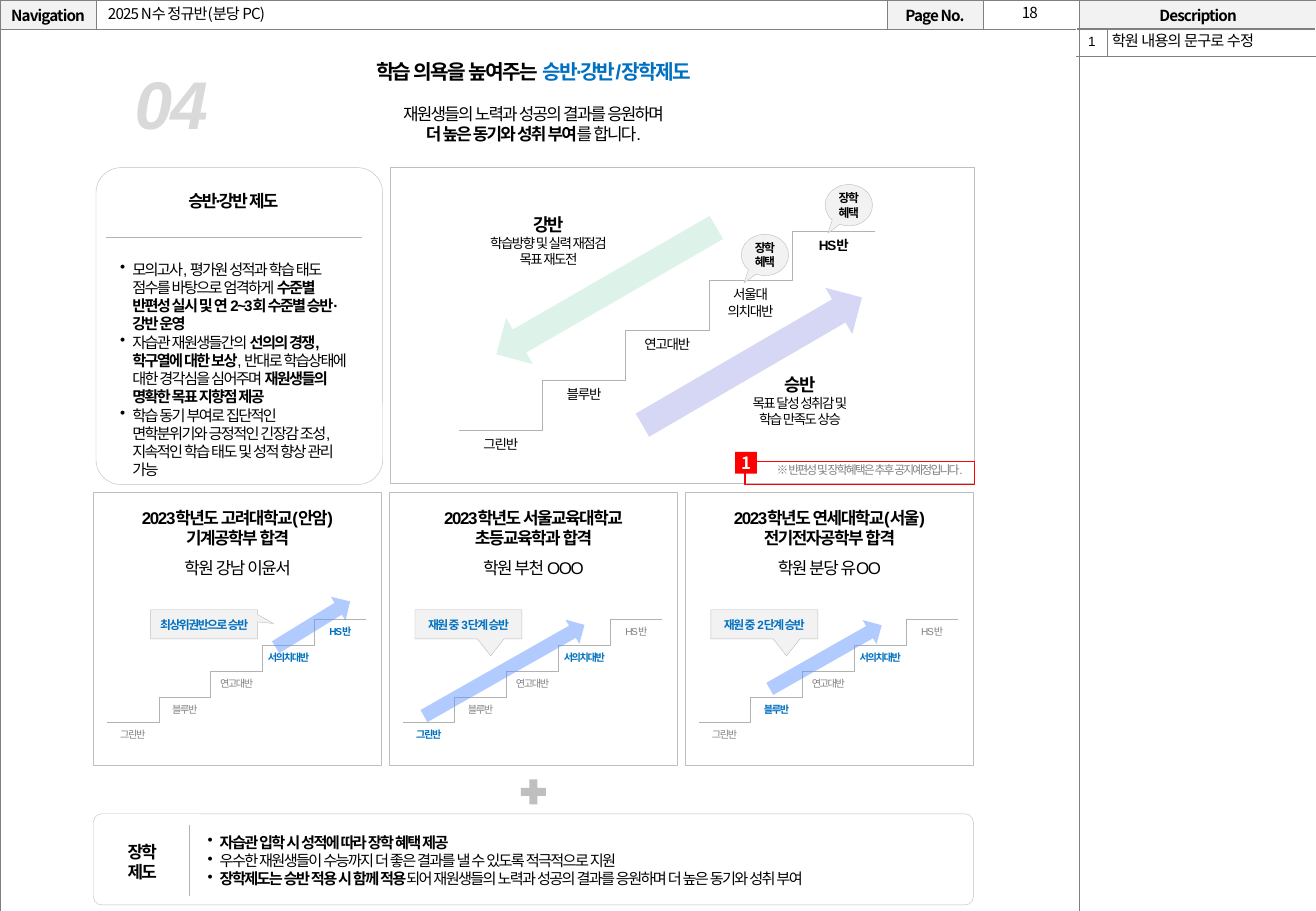
from lxml import etree
from pptx import Presentation
from pptx.dml.color import RGBColor
from pptx.enum.shapes import MSO_CONNECTOR, MSO_SHAPE
from pptx.enum.text import MSO_ANCHOR, PP_ALIGN
from pptx.oxml.ns import qn
from pptx.util import Inches, Pt

BLACK = RGBColor(0x00, 0x00, 0x00)
WHITE = RGBColor(0xFF, 0xFF, 0xFF)
RED = RGBColor(0xFF, 0x00, 0x00)
BLUE = RGBColor(0x00, 0x70, 0xC0)
ARROW_BLUE = RGBColor(0x66, 0x99, 0xFF)
LILAC = RGBColor(0xD6, 0xD6, 0xF5)
MINT = RGBColor(0xDD, 0xF3, 0xEA)
PALE = RGBColor(0xF2, 0xF2, 0xF2)
NUMBER_GRAY = RGBColor(0xD9, 0xD9, 0xD9)
BORDER = RGBColor(0xBF, 0xBF, 0xBF)
STEP_GRAY = RGBColor(0xB2, 0xB2, 0xB2)
GRAY = RGBColor(0x80, 0x80, 0x80)
LEFT, CENTER, RIGHT = PP_ALIGN.LEFT, PP_ALIGN.CENTER, PP_ALIGN.RIGHT
TOP, MIDDLE = MSO_ANCHOR.TOP, MSO_ANCHOR.MIDDLE
RECT, ROUND, UP_ARROW = MSO_SHAPE.RECTANGLE, MSO_SHAPE.ROUNDED_RECTANGLE, MSO_SHAPE.UP_ARROW
PLUS = MSO_SHAPE.MATH_PLUS
OVAL_CALLOUT, RECT_CALLOUT = MSO_SHAPE.OVAL_CALLOUT, MSO_SHAPE.RECTANGULAR_CALLOUT
STRAIGHT, ELBOW = MSO_CONNECTOR.STRAIGHT, MSO_CONNECTOR.ELBOW
BODY_FONT, HEADER_FONT = "Arial", "Noto Sans CJK KR"
BOLD, PLAIN = {"bold": True}, {"bold": False}
HEADER = {"size": 9, "spacing": -0.5, "font": HEADER_FONT}


def write(frame, paragraphs, align=CENTER, bullet=False, gaps=None, line_spacing=None, **base):
    """Fill a text frame; a paragraph is a string or a list of runs, a run may carry overrides."""
    for index, runs in enumerate(paragraphs):
        paragraph = frame.paragraphs[0] if index == 0 else frame.add_paragraph()
        paragraph.alignment = align
        if line_spacing:
            paragraph.line_spacing = line_spacing
        if gaps and index in gaps:
            paragraph.space_before = Pt(gaps[index])
        if bullet:
            properties = paragraph._p.get_or_add_pPr()
            properties.set("marL", str(Inches(0.1)))
            properties.set("indent", str(Inches(-0.1)))
            etree.SubElement(properties, qn("a:buChar")).set("char", "•")
        for item in [runs] if isinstance(runs, str) else runs:
            text, changes = (item, {}) if isinstance(item, str) else item
            style = {"size": 9, "color": BLACK, "bold": False, "italic": False,
                     "spacing": -1, "font": BODY_FONT, **base, **changes}
            run = paragraph.add_run()
            run.text = text
            run.font.name, run.font.size = style["font"], Pt(style["size"])
            run.font.bold, run.font.italic = style["bold"], style["italic"]
            run.font.color.rgb = style["color"]
            properties = run._r.get_or_add_rPr()
            properties.set("spc", str(int(style["spacing"] * 100)))
            etree.SubElement(properties, qn("a:ea")).set("typeface", style["font"])


def add_text(slide, box, paragraphs, anchor=TOP, **style):
    """Add a wrapping text box."""
    frame = slide.shapes.add_textbox(*map(Inches, box)).text_frame
    frame.word_wrap, frame.vertical_anchor = True, anchor
    write(frame, paragraphs, **style)


def add_panel(slide, kind, box, fill=WHITE, line=None, width=0.25, adjust=(), rotation=0, alpha=None):
    """Add a flat preset shape."""
    panel = slide.shapes.add_shape(kind, *map(Inches, box))
    panel.shadow.inherit = False
    panel.rotation = rotation
    for index, value in enumerate(adjust):
        panel.adjustments[index] = value
    if fill is None:
        panel.fill.background()
    else:
        panel.fill.solid()
        panel.fill.fore_color.rgb = fill
    if alpha:
        color = panel.fill._xPr.find(".//" + qn("a:srgbClr"))
        etree.SubElement(color, qn("a:alpha")).set("val", str(alpha * 1000))
    if line is None:
        panel.line.fill.background()
    else:
        panel.line.color.rgb, panel.line.width = line, Pt(width)
    return panel


def add_callout(slide, kind, box, adjust, paragraphs, color):
    """Add a pale speech balloon with small bold text."""
    balloon = add_panel(slide, kind, box, PALE, BORDER, adjust=adjust)
    balloon.text_frame.word_wrap = False
    balloon.text_frame.vertical_anchor = MIDDLE
    write(balloon.text_frame, paragraphs, size=7, color=color, bold=True, spacing=-0.8)


def add_rule(slide, kind, *ends):
    """Draw a thin gray straight or elbow line."""
    rule = slide.shapes.add_connector(kind, *map(Inches, ends))
    rule.line.color.rgb, rule.line.width = STEP_GRAY, Pt(0.25)
    etree.SubElement(rule._element.spPr, qn("a:effectLst"))


def add_staircase(slide, left, base, tread, rise, labels, label_width, styles, size):
    """Draw rising steps with a class label under each tread."""
    for step in range(len(labels) - 1):
        add_rule(slide, ELBOW, left + (step + 2) * tread, base - (step + 1) * rise,
                 left + step * tread, base - step * rise)
    for step, (label, style) in enumerate(zip(labels, styles)):
        middle = left + (step + 0.5) * tread
        add_text(slide, (middle - label_width / 2, base - step * rise, label_width, 0.24),
                 label, size=size, spacing=-0.8, **style)


def set_borders(cell, sides):
    """Give the named sides of a cell a thin gray border."""
    properties = cell._tc.get_or_add_tcPr()
    for index, side in enumerate(sides):
        border = etree.Element(qn("a:ln" + side), w=str(Pt(0.25)))
        fill = etree.SubElement(border, qn("a:solidFill"))
        etree.SubElement(fill, qn("a:srgbClr")).set("val", str(GRAY))
        properties.insert(index, border)


def add_grid(slide, box, columns, rows):
    """Add an unstyled table with the given column widths and row heights."""
    table = slide.shapes.add_table(len(rows), len(columns), *map(Inches, box)).table
    table.first_row = table.horz_banding = False
    for column, width in zip(table.columns, columns):
        column.width = Inches(width)
    for row, height in zip(table.rows, rows):
        row.height = Inches(height)
    return table


def set_margins(cell, margin):
    """Set all margins of a cell and centre it vertically."""
    cell.margin_left = cell.margin_right = cell.margin_top = cell.margin_bottom = Inches(margin)
    cell.vertical_anchor = MIDDLE


def build_frame(slide, left, top, width, height):
    """Build the page frame, its header and the description list."""
    table = add_grid(slide, (left, top, width, height), (0.79, 6.51, 0.79, 0.79, 1.96), (0.24, height - 0.24))
    headings = {0: "Navigation", 2: "Page No.", 4: "Description"}
    for index, cell in enumerate(table.iter_cells()):
        set_margins(cell, 0)
        cell.fill.solid()
        cell.fill.fore_color.rgb = PALE if index in headings else WHITE
        set_borders(cell, "LRTB")
        if index in headings:
            write(cell.text_frame, [headings[index]], bold=True, **HEADER)
        else:
            cell.text_frame.paragraphs[0]._p.get_or_add_endParaRPr().set("sz", "900")
    table.cell(1, 0).merge(table.cell(1, 3))
    add_text(slide, (left + 8.09, top - 0.02, 0.77, 0.25), ["18"], **HEADER)
    add_text(slide, (left + 0.79, top, 6.52, 0.23), ["2025 N수 정규반(분당 PC)"], MIDDLE, align=LEFT, **HEADER)
    notes = add_grid(slide, (left + 8.86, top + 0.23, 1.97, 0.23), (0.25, 1.72), (0.23,))
    number, note = notes.iter_cells()
    for cell, sides in ((number, "RTB"), (note, "LTB")):
        set_margins(cell, 0.04)
        cell.fill.background()
        set_borders(cell, sides)
    write(number.text_frame, ["1"], size=8, line_spacing=0.9)
    write(note.text_frame, ["학원 내용의 문구로 수정"], align=LEFT, spacing=-0.5, line_spacing=0.9)


def build_heading(slide, left, top, width):
    """Build the section number, title and lead."""
    add_text(slide, (left, top, width, 0.81), [
        [("학습 의욕을 높여주는 ", {"size": 12, **BOLD}),
         ("승반∙강반/장학제도", {"size": 12, "color": BLUE, **BOLD})],
        "재원생들의 노력과 성공의 결과를 응원하며",
        [("더 높은 동기와 성취 부여", BOLD), "를 합니다."]], size=10, gaps={1: 11.5})
    add_text(slide, (left + 0.24, top + 0.02, 0.87, 0.77), ["04"], align=LEFT,
             size=40, color=NUMBER_GRAY, bold=True, italic=True)


def build_policy(slide, left, top, width, height):
    """Build the rounded panel that explains the class-change policy."""
    add_panel(slide, ROUND, (left, top, width, height), line=BORDER, adjust=(0.088,))
    add_rule(slide, STRAIGHT, left + 0.08, top + 0.57, left + 2.19, top + 0.57)
    add_text(slide, (left + 0.35, top + 0.14, 1.56, 0.27), ["승반∙강반 제도"], size=10, bold=True)
    add_text(slide, (left + 0.1, top + 0.71, 2.09, 1.77), [
        ["모의고사, 평가원 성적과 학습 태도 점수를 바탕으로 엄격하게 ",
         ("수준별 반편성 실시 및 연 2~3회 수준별 승반·강반 운영", BOLD)],
        ["자습관 재원생들간의 ", ("선의의 경쟁, 학구열에 대한 보상", BOLD),
         ", 반대로 학습상태에 대한 경각심을 심어주며 ", ("재원생들의 명확한 목표 지향점 제공", BOLD)],
        "학습 동기 부여로 집단적인 면학분위기와 긍정적인 긴장감 조성, 지속적인 학습 태도 및 성적 향상 관리 가능",
    ], align=LEFT, bullet=True)


def build_ladder(slide, left, top, width, height):
    """Build the large class ladder with its two arrows and benefit balloons."""
    add_panel(slide, RECT, (left, top, width, height), line=BORDER)
    labels = (["그린반"], ["블루반"], ["연고대반"], ["서울대", "의치대반"], ["HS반"])
    add_staircase(slide, left + 0.57, top + 2.16, 0.685, 0.41, labels, 0.7, [PLAIN] * 4 + [BOLD], 8)
    directions = (
        (2.76, 0.55, 59.8, LILAC, 2.71, 1.65, ("승반", "목표 달성 성취감 및", "학습 만족도 상승")),
        (1.56, -0.03, 240, MINT, 0.64, 0.33, ("강반", "학습방향 및 실력 재점검", "목표 재도전")))
    for arrow_x, arrow_y, angle, color, text_x, text_y, (name, *details) in directions:
        add_panel(slide, UP_ARROW, (left + arrow_x, top + arrow_y, 0.44, 2.09), color, rotation=angle)
        add_text(slide, (left + text_x, top + text_y, 1.33, 0.55),
                 [[(name, {"size": 10.5, **BOLD})], *details], size=8)
    for x, y in ((3.58, 0.14), (2.89, 0.55)):
        add_callout(slide, OVAL_CALLOUT, (left + x, top + y, 0.39, 0.34), (-0.441, 0.674), ["장학", "혜택"], BLACK)


def build_case(slide, left, top, width, height, lines, reached, balloon, arrow):
    """Build one success-story card with its small class ladder."""
    add_panel(slide, RECT, (left, top, width, height), line=BORDER)
    *school, student = lines
    add_text(slide, (left, top + 0.08, width, 0.71), [[(line, BOLD)] for line in school] + [student],
             size=10, spacing=-0.8, gaps={2: 5.75})
    labels = (["그린반"], ["블루반"], ["연고대반"], ["서의치대반"], ["HS반"])
    styles = [{"color": BLUE, **BOLD} if step in reached else {"color": GRAY} for step in range(len(labels))]
    add_staircase(slide, left + 0.11, top + 1.9, 0.427, 0.212, labels, 0.6, styles, 6)
    balloon_x, adjust, message = balloon
    add_callout(slide, RECT_CALLOUT, (left + balloon_x, top + 0.97, 0.88, 0.24), adjust, [message], BLUE)
    arrow_x, arrow_y, length, angle = arrow
    add_panel(slide, UP_ARROW, (left + arrow_x, top + arrow_y, 0.23, length), ARROW_BLUE, rotation=angle, alpha=50)


def build_cases(slide, left, top, width, height):
    """Spread the three cards evenly over the row."""
    card, down = 2.37, (0.208, 1.079)
    cases = (
        (("2023학년도 고려대학교(안암)", "기계공학부 합격", "학원 강남 이윤서"), (3, 4),
         (0.47, (0.649, -0.027), "최상위권반으로 승반"), (1.69, 0.73, 0.72, 58.4)),
        (("2023학년도 서울교육대학교", "초등교육학과 합격", "학원 부천 OOO"), (0, 3),
         (0.21, down, "재원 중 3단계 승반"), (0.83, 0.71, 1.52, 60.4)),
        (("2023학년도 연세대학교(서울)", "전기전자공학부 합격", "학원 분당 유OO"), (1, 3),
         (0.21, down, "재원 중 2단계 승반"), (1.04, 0.83, 1.06, 60.4)))
    for index, case in enumerate(cases):
        build_case(slide, left + index * (width - card) / 2, top, card, height, *case)


def build_scholarship(slide, left, top, width, height):
    """Build the scholarship panel and the plus sign above it."""
    add_panel(slide, PLUS, (left + 3.48, top - 0.32, 0.28, 0.28), BORDER)
    add_panel(slide, ROUND, (left, top, width, height), line=BORDER, adjust=(0.088,))
    add_rule(slide, STRAIGHT, left + 0.79, top + 0.09, left + 0.79, top + 0.68)
    add_text(slide, (left + 0.09, top + 0.18, 0.62, 0.44), ["장학", "제도"], size=10, bold=True)
    add_text(slide, (left + 0.84, top + 0.11, 6.32, 0.56), [
        [("자습관 입학 시 성적에 따라 장학 혜택 제공", BOLD)],
        "우수한 재원생들이 수능까지 더 좋은 결과를 낼 수 있도록 적극적으로 지원",
        [("장학제도는 승반 적용 시 함께 적용", BOLD),
         "되어 재원생들의 노력과 성공의 결과를 응원하며 더 높은 동기와 성취 부여"]], align=LEFT, bullet=True)


def build_revision(slide, left, top, width, height):
    """Build the red revision mark around the footnote."""
    add_panel(slide, RECT, (left, top, width, height), None, RED, 1)
    marker = add_panel(slide, RECT, (left - 0.08, top - 0.08, 0.18, 0.18), RED)
    frame = marker.text_frame
    frame.margin_left = frame.margin_right = frame.margin_top = frame.margin_bottom = 0
    frame.vertical_anchor = MIDDLE
    write(frame, ["1"], size=10, color=WHITE, bold=True, spacing=0, font=HEADER_FONT)
    add_text(slide, (left - 1.73, top - 0.04, 3.62, 0.22), ["※ 반편성 및 장학혜택은 추후 공지예정입니다."],
             align=RIGHT, size=7, color=GRAY)


def main():
    """Assemble the slide and save it."""
    deck = Presentation()
    deck.slide_width, deck.slide_height = Inches(10.83), Inches(7.5)
    slide = deck.slides.add_slide(deck.slide_layouts[6])
    build_frame(slide, 0, 0, 10.84, 7.51)
    build_heading(slide, 0.77, 0.44, 7.24)
    build_ladder(slide, 3.21, 1.38, 4.81, 2.6)
    build_policy(slide, 0.79, 1.38, 2.36, 2.61)
    build_cases(slide, 0.77, 4.05, 7.24, 2.25)
    build_scholarship(slide, 0.77, 6.7, 7.24, 0.75)
    build_revision(slide, 6.13, 3.8, 1.89, 0.19)
    deck.save("out.pptx")


if __name__ == "__main__":
    main()
